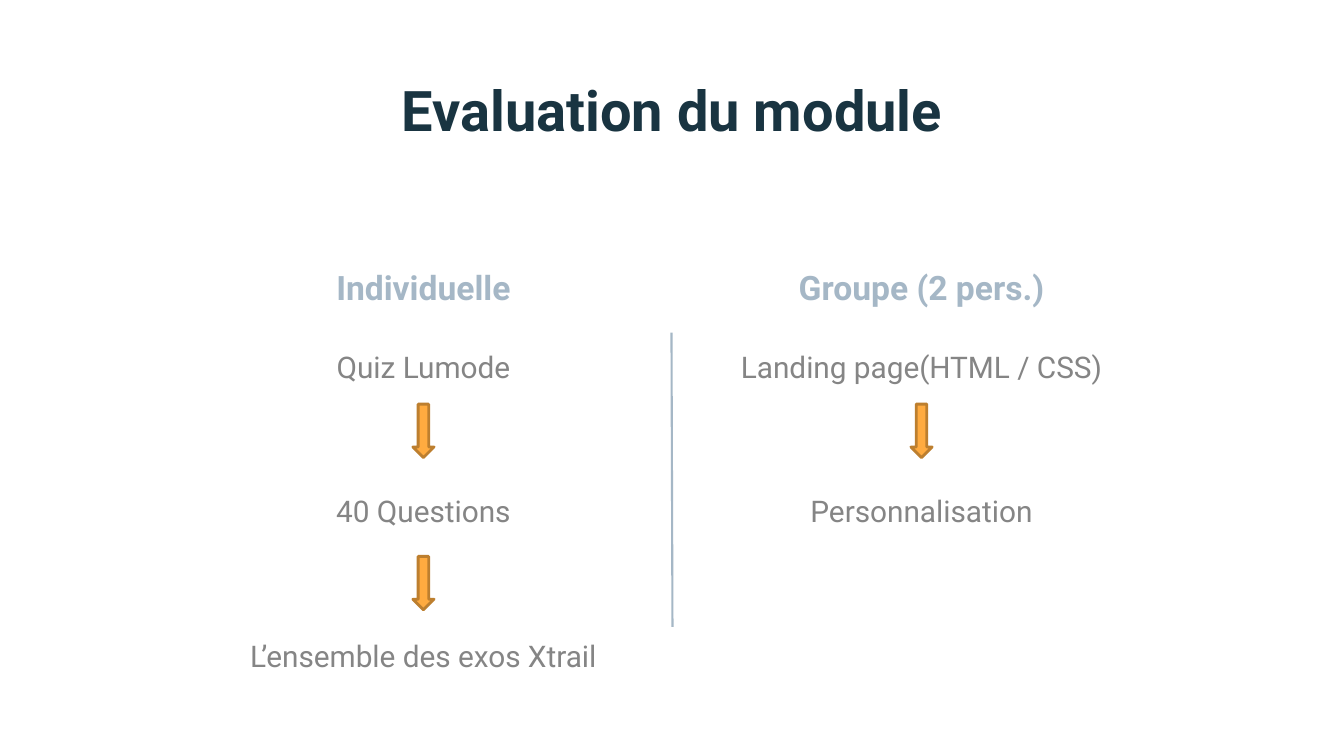
"""Build the module evaluation slide: two columns of steps joined by arrows."""
from dataclasses import dataclass

from lxml.etree import SubElement
from pptx import Presentation
from pptx.dml.color import RGBColor
from pptx.enum.shapes import MSO_CONNECTOR as Conn, MSO_SHAPE as Shape
from pptx.enum.text import MSO_ANCHOR as Anchor, PP_ALIGN as Align
from pptx.oxml.ns import qn
from pptx.slide import Slide
from pptx.util import Inches, Pt


@dataclass(frozen=True)
class Theme:
    font: str = "Roboto"
    title: RGBColor = RGBColor(0x19, 0x34, 0x41)
    accent: RGBColor = RGBColor(0xA5, 0xB7, 0xC6)
    body: RGBColor = RGBColor(0x85, 0x85, 0x85)
    arrow: RGBColor = RGBColor(0xFF, 0xAB, 0x40)
    arrow_line: RGBColor = RGBColor(0xBD, 0x7F, 0x2F)
    title_size: float = 40
    heading_size: float = 24
    body_size: float = 21.3
    step_gap: float = 77.5


@dataclass(frozen=True)
class Box:
    left: float
    top: float
    width: float
    height: float


@dataclass(frozen=True)
class Column:
    center: float
    heading: str
    steps: tuple[str, ...]


THEME = Theme()
ARROW_TOP, ARROW_PITCH = 4.01, 1.51
ARROW_WIDTH, ARROW_HEIGHT = 0.21, 0.53
COLUMNS = (
    Column(4.2, "Individuelle",
           ("Quiz Lumode", "40 Questions", "L’ensemble des exos Xtrail")),
    Column(9.14, "Groupe (2 pers.)",
           ("Landing page(HTML / CSS)", "Personnalisation")),
)


def add_text(s: Slide, box: Box, lines: tuple[str, ...], size: float,
             color: RGBColor, bold: bool = True,
             anchor: Anchor = Anchor.BOTTOM) -> None:
    sp = s.shapes.add_textbox(Inches(box.left), Inches(box.top),
                              Inches(box.width), Inches(box.height))
    tf = sp.text_frame
    tf.word_wrap = True
    tf.vertical_anchor = anchor
    tf.margin_left = tf.margin_right = Inches(0.1)
    tf.margin_top = tf.margin_bottom = Inches(0.1)
    tf.text = "\n".join(lines)
    for i, p in enumerate(tf.paragraphs):
        p.alignment = Align.CENTER
        p.space_before = Pt(THEME.step_gap if i else 0)
        for r in p.runs:
            r.font.name = THEME.font
            r.font.size = Pt(size)
            r.font.bold = bold
            r.font.color.rgb = color


def add_arrow(s: Slide, center: float, top: float) -> None:
    sp = s.shapes.add_shape(Shape.DOWN_ARROW, Inches(center - ARROW_WIDTH / 2),
                            Inches(top), Inches(ARROW_WIDTH), Inches(ARROW_HEIGHT))
    sp.shadow.inherit = False
    sp.fill.solid()
    sp.fill.fore_color.rgb = THEME.arrow
    sp.line.color.rgb = THEME.arrow_line
    sp.line.width = Pt(2)


def add_divider(s: Slide) -> None:
    line = s.shapes.add_connector(Conn.STRAIGHT, Inches(6.66), Inches(3.3),
                                  Inches(6.67), Inches(6.22))
    line.line.color.rgb = THEME.accent
    line.line.width = Pt(1.5)
    SubElement(line._element.spPr, qn("a:effectLst"))


def add_column(s: Slide, col: Column) -> None:
    add_text(s, Box(col.center - 1.75, 2.49, 3.5, 0.66), (col.heading,),
             THEME.heading_size, THEME.accent)
    add_text(s, Box(col.center - 2.35, 3.36, 4.7, 3.37), col.steps,
             THEME.body_size, THEME.body, bold=False, anchor=Anchor.TOP)
    for i in range(len(col.steps) - 1):
        add_arrow(s, col.center, ARROW_TOP + i * ARROW_PITCH)


def main() -> None:
    prs = Presentation()
    prs.slide_width, prs.slide_height = Inches(13.33), Inches(7.5)
    s = prs.slides.add_slide(prs.slide_layouts[6])
    add_divider(s)
    add_text(s, Box(1.75, 0.68, 9.83, 0.84), ("Evaluation du module",),
             THEME.title_size, THEME.title)
    for col in COLUMNS:
        add_column(s, col)
    prs.save("out.pptx")


main()
